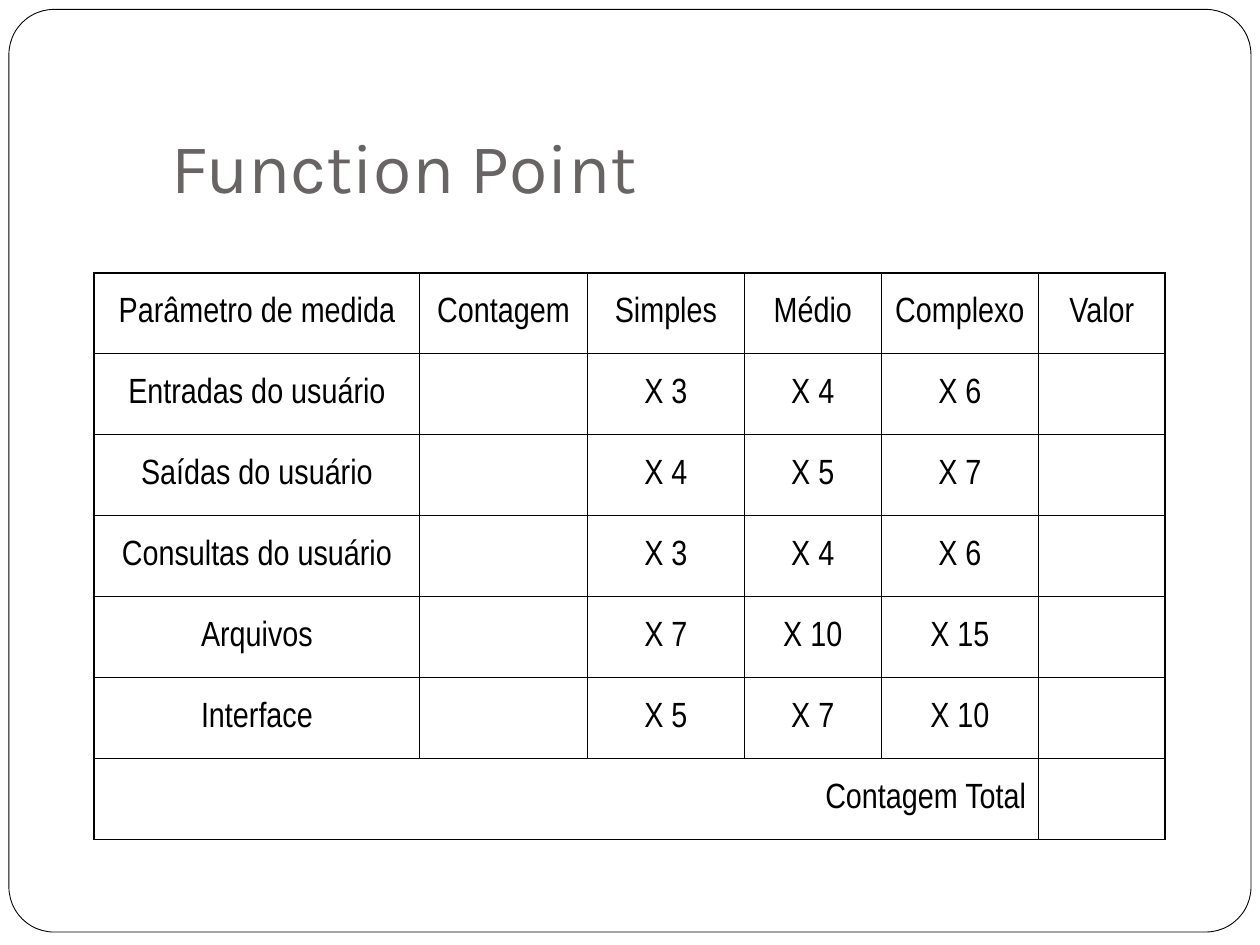
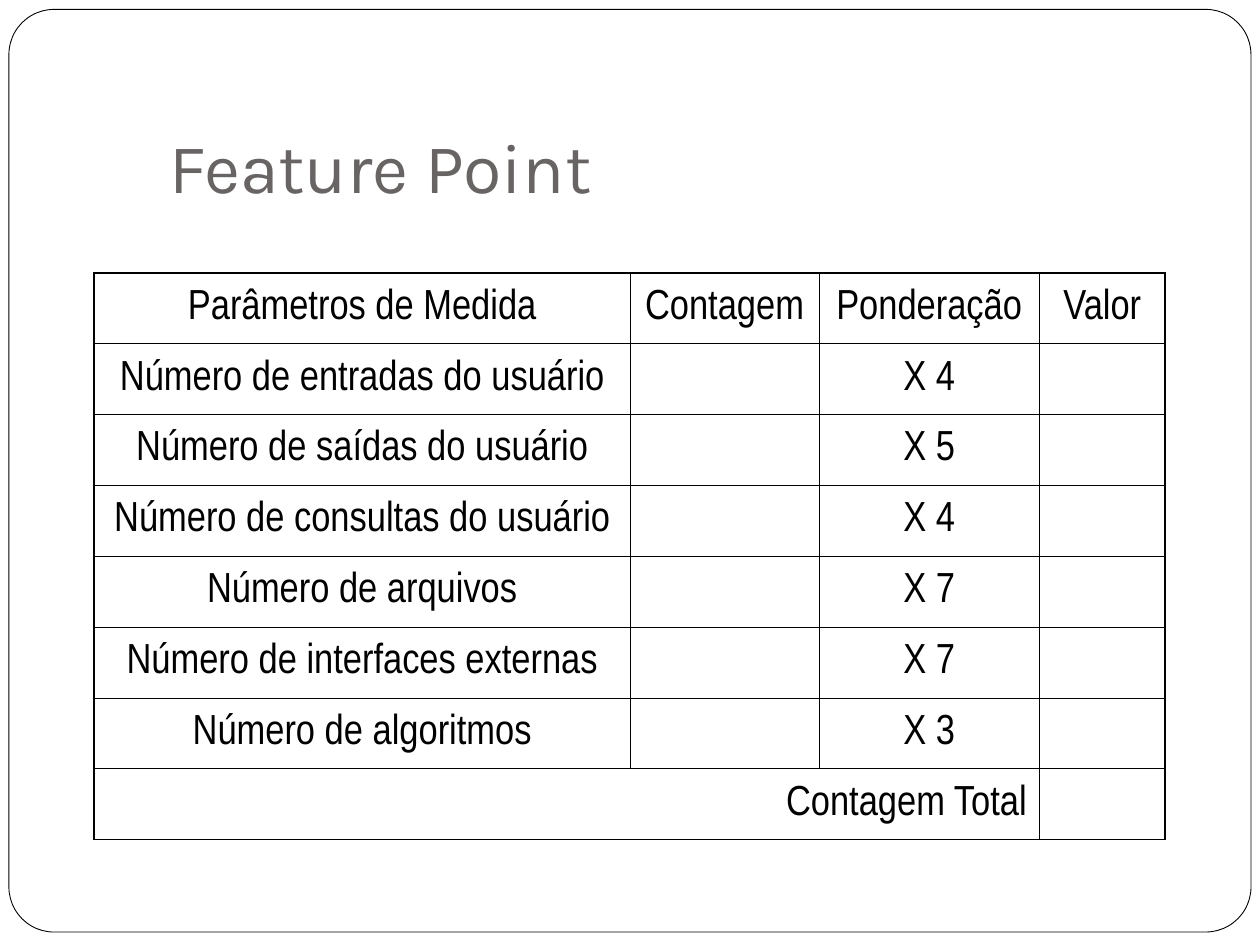
from lxml import etree
from pptx import Presentation
from pptx.dml.color import RGBColor
from pptx.enum.shapes import MSO_SHAPE
from pptx.enum.text import MSO_ANCHOR, PP_ALIGN
from pptx.oxml.ns import qn
from pptx.util import Cm, Pt

ROUNDED = MSO_SHAPE.ROUNDED_RECTANGLE
MIDDLE, BOTTOM = MSO_ANCHOR.MIDDLE, MSO_ANCHOR.BOTTOM
CENTER, RIGHT = PP_ALIGN.CENTER, PP_ALIGN.RIGHT

BLACK, WHITE, TITLE_GRAY = "000000", "FFFFFF", "696464"
TITLE_FONT, TABLE_FONT = "Karla", "Arial Narrow"
INNER_LINE, OUTER_LINE = Pt(0.45), Pt(1.08)
TABLE_HEIGHT = 11.43

SLIDES = [
    {
        "title": "Function Point",
        "title_left": 3.2,
        "size": 20,
        "space": 5,
        "widths": [6.56, 3.38, 3.17, 2.75, 3.18, 2.54],
        "rows": [
            ["Parâmetro de medida", "Contagem", "Simples", "Médio", "Complexo", "Valor"],
            ["Entradas do usuário", "", "X 3", "X 4", "X 6", ""],
            ["Saídas do usuário", "", "X 4", "X 5", "X 7", ""],
            ["Consultas do usuário", "", "X 3", "X 4", "X 6", ""],
            ["Arquivos", "", "X 7", "X 10", "X 15", ""],
            ["Interface", "", "X 5", "X 7", "X 10", ""],
        ],
    },
    {
        "title": "Feature Point",
        "title_left": 3.17,
        "size": 24,
        "space": 6,
        "widths": [10.8, 3.81, 4.44, 2.54],
        "rows": [
            ["Parâmetros de Medida", "Contagem", "Ponderação", "Valor"],
            ["Número de entradas do usuário", "", "X 4", ""],
            ["Número de saídas do usuário", "", "X 5", ""],
            ["Número de consultas do usuário", "", "X 4", ""],
            ["Número de arquivos", "", "X 7", ""],
            ["Número de interfaces externas", "", "X 7", ""],
            ["Número de algoritmos", "", "X 3", ""],
        ],
    },
]


def color(value):
    return RGBColor.from_string(value)


def add_run(paragraph, text, font, size, value):
    run = paragraph.add_run()
    run.text = text
    run.font.name = font
    run.font.size = Pt(size)
    run.font.color.rgb = color(value)


presentation = Presentation()
presentation.slide_width = Cm(25.4)
presentation.slide_height = Cm(19.05)

for content in SLIDES:
    slide = presentation.slides.add_slide(presentation.slide_layouts[6])

    frame = slide.shapes.add_shape(ROUNDED, Cm(0.18), Cm(0.19), Cm(25.04), Cm(18.6))
    frame.adjustments[0] = 0.049
    frame.shadow.inherit = False
    frame.fill.solid()
    frame.fill.fore_color.rgb = color(WHITE)
    frame.line.color.rgb = color(BLACK)
    frame.line.width = Pt(0.5)

    title = slide.shapes.add_textbox(Cm(content["title_left"]), Cm(1.27), Cm(21.59), Cm(3.17))
    title_frame = title.text_frame
    title_frame.word_wrap = True
    title_frame.vertical_anchor = BOTTOM
    title_frame.margin_bottom = Cm(0.25)
    add_run(title_frame.paragraphs[0], content["title"], TITLE_FONT, 40, TITLE_GRAY)

    widths = content["widths"]
    last_column = len(widths) - 1
    total_row = ["Contagem Total"] + [""] * last_column
    rows = content["rows"] + [total_row]
    last_row = len(rows) - 1

    table = slide.shapes.add_table(
        len(rows), len(widths), Cm(1.9), Cm(5.5), Cm(sum(widths)), Cm(TABLE_HEIGHT)
    ).table
    table.first_row = False
    table.horz_banding = False
    for column, width in zip(table.columns, widths):
        column.width = Cm(width)
    for row in table.rows:
        row.height = Cm(TABLE_HEIGHT / len(rows))
    table.cell(last_row, 0).merge(table.cell(last_row, last_column - 1))

    for row_index, texts in enumerate(rows):
        for column_index, text in enumerate(texts):
            cell = table.cell(row_index, column_index)
            cell.vertical_anchor = MIDDLE
            properties = cell._tc.get_or_add_tcPr()
            edges = {
                "a:lnL": column_index == 0,
                "a:lnR": column_index == last_column,
                "a:lnT": row_index == 0,
                "a:lnB": row_index == last_row,
            }
            for tag, is_outer in edges.items():
                width = OUTER_LINE if is_outer else INNER_LINE
                line = etree.SubElement(properties, qn(tag), w=str(width))
                line_fill = etree.SubElement(line, qn("a:solidFill"))
                etree.SubElement(line_fill, qn("a:srgbClr"), val=BLACK)
            cell.fill.background()
            if text:
                paragraph = cell.text_frame.paragraphs[0]
                paragraph.alignment = RIGHT if row_index == last_row else CENTER
                paragraph.space_before = Pt(content["space"])
                add_run(paragraph, text, TABLE_FONT, content["size"], BLACK)

presentation.save("out.pptx")
